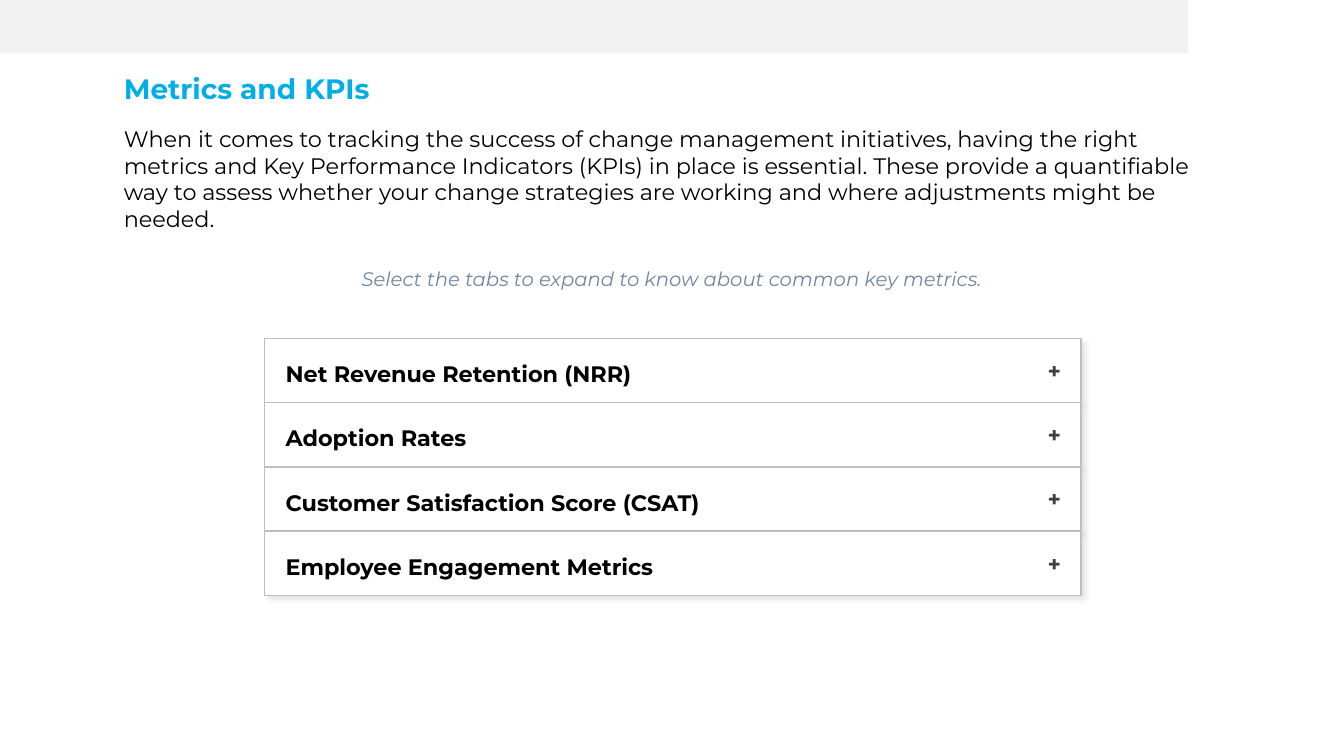
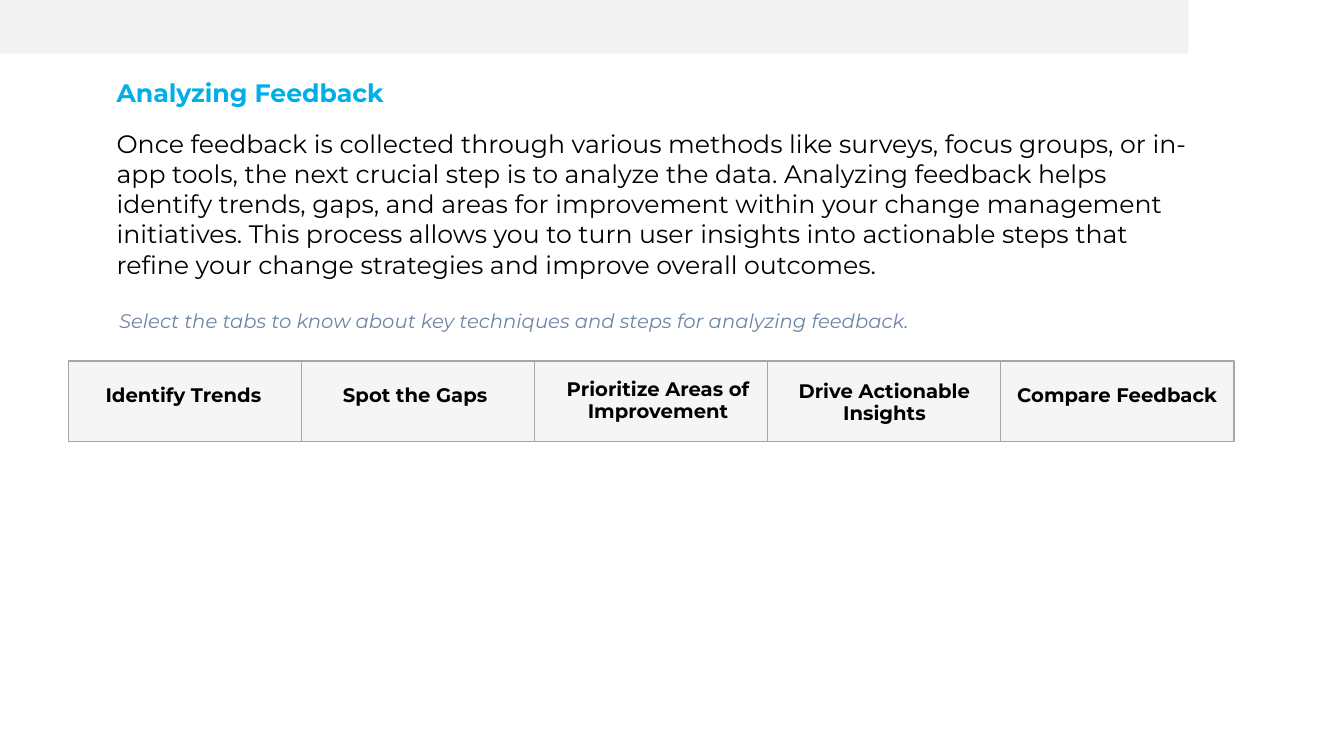
"""Builds two course slides on metrics and feedback."""
from lxml import etree
from pptx import Presentation
from pptx import util as u
from pptx.dml.color import RGBColor
from pptx.enum import shapes, text
from pptx.oxml import ns

WHITE = RGBColor(0xFF, 0xFF, 0xFF)
BLACK = RGBColor(0, 0, 0)
DARK_GREY = RGBColor(0x40, 0x40, 0x40)
BAND_GREY = RGBColor(0xF2, 0xF2, 0xF2)
TAB_GREY = RGBColor(0xF5, 0xF5, 0xF5)
ROW_LINE = RGBColor(0xBF, 0xBF, 0xBF)
TAB_LINE = RGBColor(0xA6, 0xA6, 0xA6)
BLUE = RGBColor(0x01, 0xAF, 0xE6)
SLATE = RGBColor(0x6E, 0x85, 0xA3)

STYLES = {
    "title": {"color": BLUE, "bold": True, "size": u.Pt(20)},
    "body": {"color": BLACK, "size": u.Pt(16)},
    "hint": {"color": SLATE, "italic": True, "size": u.Pt(14)},
    "row": {"color": BLACK, "bold": True, "size": u.Pt(16)},
    "plus": {"color": DARK_GREY, "bold": True, "size": u.Pt(16)},
    "tab": {"color": BLACK, "bold": True, "size": u.Pt(14)},
}


class Course:
    """Holds the deck, its style and the current page."""

    font = "Montserrat"

    def __init__(self):
        self.deck = Presentation()
        self.deck.slide_width = u.Cm(33.87)
        self.deck.slide_height = u.Cm(19.05)
        self.page = None

    def new_page(self):
        self.page = self.deck.slides.add_slide(self.deck.slide_layouts[6])
        self.panel(0, 0, 29.95, 1.35, BAND_GREY)

    def panel(self, left, top, width, height, fill, line=None, shadow=False):
        shape = self.page.shapes.add_shape(
            shapes.MSO_SHAPE.RECTANGLE, *map(u.Cm, (left, top, width, height)))
        shape.shadow.inherit = False
        shape.fill.solid()
        shape.fill.fore_color.rgb = fill
        if line is None:
            shape.line.fill.background()
        else:
            shape.line.color.rgb = line
            shape.line.width = u.Pt(1)
        if shadow:
            self.cast_shadow(shape)

    def cast_shadow(self, shape):
        effects = shape.element.spPr.find(ns.qn("a:effectLst"))
        outer = etree.SubElement(
            effects, ns.qn("a:outerShdw"), blurRad=str(u.Pt(4)),
            dist=str(u.Pt(3)), dir="2700000", algn="tl", rotWithShape="0")
        color = etree.SubElement(outer, ns.qn("a:srgbClr"), val=str(BLACK))
        etree.SubElement(color, ns.qn("a:alpha"), val="10000")

    def words(self, content, style, left, top, width, height,
              centred=False, spacing=None, **changes):
        box = self.page.shapes.add_textbox(*map(u.Cm, (left, top, width, height)))
        box.text_frame.word_wrap = True
        para = box.text_frame.paragraphs[0]
        if centred:
            para.alignment = text.PP_ALIGN.CENTER
        if spacing:
            para.line_spacing = spacing
        span = para.add_run()
        span.text = content
        span.font.name = self.font
        for name, value in {**STYLES[style], **changes}.items():
            if name == "color":
                span.font.color.rgb = value
            else:
                setattr(span.font, name, value)

    def title(self, content, left, top, **changes):
        self.words(content, "title", left, top, 16.4, 1.17, spacing=0.9, **changes)

    def accordion(self, labels, left, top, width, height, pitch):
        for index in range(len(labels)):
            self.panel(left, top + index * pitch, width, height,
                       WHITE, ROW_LINE, shadow=True)
        for index, label in enumerate(labels):
            row_top = top + index * pitch
            self.words(label, "row", left + 0.28, row_top + 0.42, 18.8, 0.94)
            self.words("+", "plus", left + width - 1.09, row_top + 0.34, 1.09, 0.94)

    def tabs(self, labels, left, top, width, height, pitch):
        for index in range(len(labels)):
            self.panel(left + index * pitch, top, width, height, TAB_GREY, TAB_LINE)
        for label, label_left, label_top, label_width in labels:
            self.words(label, "tab", label_left, label_top, label_width, 1.17,
                       centred=True, spacing=0.9)


def metrics(course):
    """Adds the page on metrics."""
    course.new_page()
    course.title("Metrics and KPIs", 2.87, 1.78)
    course.words(
        "When it comes to tracking the success of change management initiatives, "
        "having the right metrics and Key Performance Indicators (KPIs) in place is "
        "essential. These provide a quantifiable way to assess whether your change "
        "strategies are working and where adjustments might be needed.",
        "body", 2.87, 3.02, 27.94, 3)
    course.words("Select the tabs to expand to know about common key metrics.",
                 "hint", 0, 6.6, 33.87, 0.86, centred=True)
    course.accordion(
        ["Net Revenue Retention (NRR)", "Adoption Rates",
         "Customer Satisfaction Score (CSAT)", "Employee Engagement Metrics"],
        6.67, 8.53, 20.57, 1.61, 1.62)


def feedback(course):
    """Adds the page on feedback."""
    course.new_page()
    course.title("Analyzing Feedback", 2.69, 1.9, size=u.Pt(18))
    course.words(
        "Once feedback is collected through various methods like surveys, focus "
        "groups, or in-app tools, the next crucial step is to analyze the data. "
        "Analyzing feedback helps identify trends, gaps, and areas for improvement "
        "within your change management initiatives. This process allows you to turn "
        "user insights into actionable steps that refine your change strategies and "
        "improve overall outcomes.",
        "body", 2.69, 3.1, 27.94, 4.11, size=u.Pt(18))
    course.words("Select the tabs to know about key techniques and steps for "
                 "analyzing feedback.", "hint", 2.75, 7.65, 23.72, 0.86)
    course.tabs(
        [("Identify Trends", 1.96, 9.58, 5.33),
         ("Spot the Gaps", 7.8, 9.58, 5.33),
         ("Prioritize Areas of Improvement", 13.64, 9.45, 5.89),
         ("Drive Actionable Insights", 19.28, 9.5, 6.02),
         ("Compare Feedback", 24.84, 9.58, 6.63)],
        1.73, 9.1, 5.89, 2.02, 5.87)


def main():
    """Builds and saves the deck."""
    course = Course()
    metrics(course)
    feedback(course)
    course.deck.save("out.pptx")


if __name__ == "__main__":
    main()
